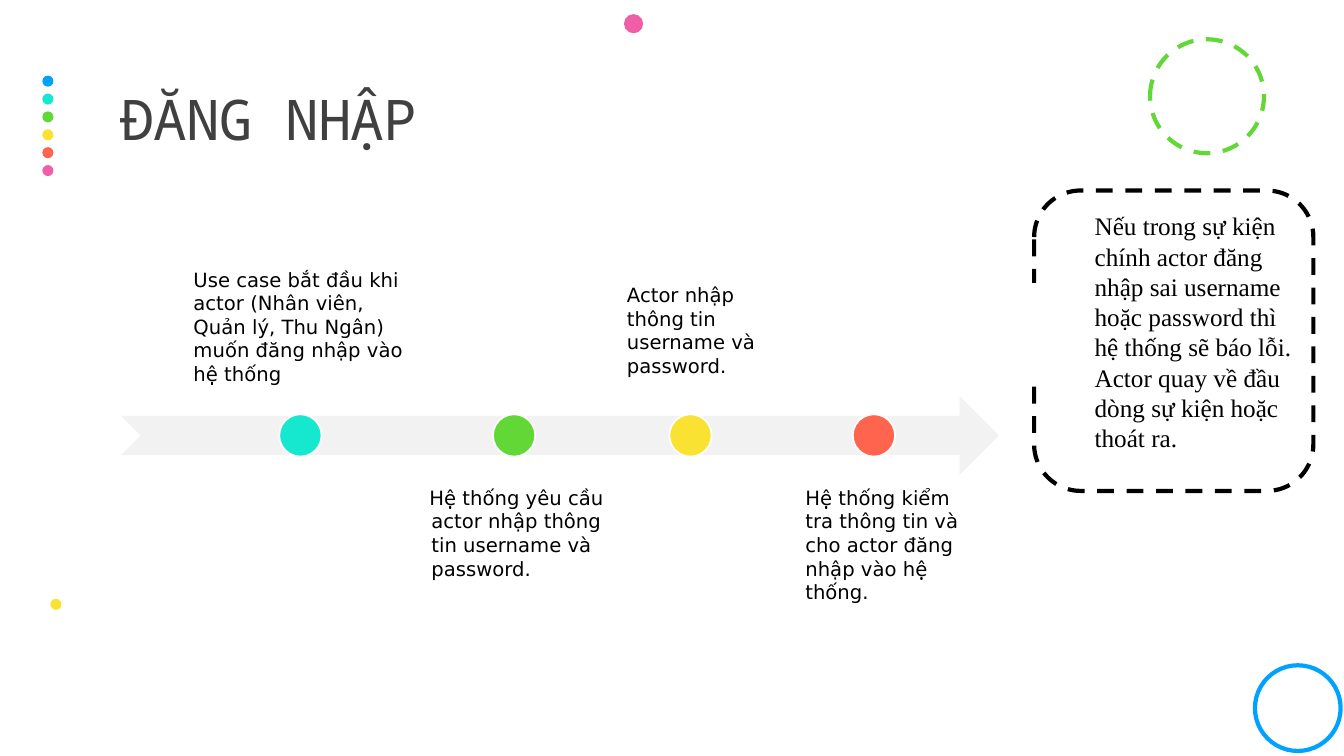
from dataclasses import dataclass
from pptx import Presentation
from pptx.dml.color import RGBColor
from pptx.enum.dml import MSO_LINE
from pptx.enum.shapes import MSO_SHAPE
from pptx.enum.text import MSO_ANCHOR, MSO_AUTO_SIZE, PP_ALIGN
from pptx.util import Inches, Pt

# Grid of square cells, 12 to the inch
COLUMNS, ROWS = 160, 90


def cells(count):
    return Inches(count / 12)


@dataclass(frozen=True)
class Theme:
    blue: str = "00A2FF"
    teal: str = "16E7CF"
    green: str = "61D836"
    yellow: str = "FAE232"
    coral: str = "FF644E"
    pink: str = "EF5FA7"
    black: str = "000000"
    white: str = "FFFFFF"
    band: str = "F2F2F2"
    title_color: str = "404040"
    title_font: str = "Noto Sans Mono"
    step_font: str = "DejaVu Sans"
    note_font: str = "Times New Roman"
    title_size: int = 40
    step_size: int = 14
    note_size: int = 18
    outline: float = 3
    marker_outline: float = 1.25


THEME = Theme()


@dataclass(frozen=True)
class Box:
    left: float
    top: float
    width: float
    height: float

    def inner(self, left, top, width, height):
        return Box(self.left + left, self.top + top, width, height)

    def place(self):
        return [cells(n) for n in (self.left, self.top, self.width, self.height)]


def add_figure(page, kind, box, fill=None, line=None, weight=THEME.outline, dashed=False):
    shape = page.shapes.add_shape(kind, *box.place())
    shape.shadow.inherit = False
    if fill:
        shape.fill.solid()
        shape.fill.fore_color.rgb = RGBColor.from_string(fill)
    else:
        shape.fill.background()
    if line:
        shape.line.color.rgb = RGBColor.from_string(line)
        shape.line.width = Pt(weight)
        if dashed:
            shape.line.dash_style = MSO_LINE.DASH
    else:
        shape.line.fill.background()
    return shape


def add_text(page, box, text, font, size, color, anchor=MSO_ANCHOR.TOP, insets=(1.2, 0.6)):
    text_box = page.shapes.add_textbox(*box.place())
    frame = text_box.text_frame
    frame.word_wrap = True
    frame.vertical_anchor = anchor
    frame.margin_left = frame.margin_right = cells(insets[0])
    frame.margin_top = frame.margin_bottom = cells(insets[1])
    para = frame.paragraphs[0]
    para.alignment = PP_ALIGN.LEFT
    span = para.add_run()
    span.text = text
    span.font.name = font
    span.font.size = Pt(size)
    span.font.color.rgb = RGBColor.from_string(color)
    return frame


def add_decoration(page, box):
    # Column of coloured dots
    rail = (THEME.blue, THEME.teal, THEME.green, THEME.yellow, THEME.coral, THEME.pink)
    for index, color in enumerate(rail):
        add_figure(page, MSO_SHAPE.OVAL, box.inner(5.04, 9 + 2.13 * index, 1.32, 1.32), color)
    # Scattered circles: left, top, diameter, fill, line, dashed
    circles = (
        (136.92, 4.68, 13.56, None, THEME.green, True),
        (6, 71.28, 1.32, THEME.yellow, None, False),
        (74.28, 1.68, 2.28, THEME.pink, None, False),
        (149.4, 79.2, 10.2, None, THEME.blue, False),
    )
    for left, top, size, fill, line, dashed in circles:
        add_figure(page, MSO_SHAPE.OVAL, box.inner(left, top, size, size),
                   fill, line, dashed=dashed)


def add_title(page, box, text):
    frame = add_text(page, box, text, THEME.title_font, THEME.title_size,
                     THEME.title_color, MSO_ANCHOR.MIDDLE, (0, 0.6))
    para = frame.paragraphs[0]
    para.line_spacing = 0.9
    para.runs[0].font._element.set("spc", "-50")


def add_note(page, box, text):
    add_figure(page, MSO_SHAPE.ROUNDED_RECTANGLE, box, line=THEME.black, dashed=True)
    # White patch that opens the left side of the frame
    add_figure(page, MSO_SHAPE.RECTANGLE, box.inner(-8.16, 11.04, 12.84, 11.88), THEME.white)
    frame = add_text(page, box.inner(6, 1.8, 27.36, 30.24), text,
                     THEME.note_font, THEME.note_size, THEME.black)
    frame.auto_size = MSO_AUTO_SIZE.SHAPE_TO_FIT_TEXT


def add_timeline(page, box, steps):
    add_figure(page, MSO_SHAPE.NOTCHED_RIGHT_ARROW, box, THEME.band)
    marker, label_height = 5.04, 20.64
    for index, (color, marker_left, left, width, gap, indent, hanging, text) in enumerate(steps):
        add_figure(page, MSO_SHAPE.OVAL,
                   box.inner(marker_left, (box.height - marker) / 2, marker, marker),
                   color, THEME.white, THEME.marker_outline)
        # Labels alternate above and below the arrow
        above = index % 2 == 0
        top = -label_height - gap if above else box.height + gap
        frame = add_text(page, box.inner(left, top, width, label_height), text,
                         THEME.step_font, THEME.step_size, THEME.black,
                         MSO_ANCHOR.BOTTOM if above else MSO_ANCHOR.TOP, (1.32, 1.32))
        properties = frame.paragraphs[0]._p.get_or_add_pPr()
        properties.set("marL", str(Inches(indent)))
        properties.set("indent", str(Inches(hanging)))


def main():
    deck = Presentation()
    deck.slide_width, deck.slide_height = cells(COLUMNS), cells(ROWS)
    page = deck.slides.add_slide(deck.slide_layouts[6])

    add_decoration(page, Box(0, 0, COLUMNS, ROWS))
    add_note(page, Box(123.12, 22.68, 33.24, 35.76),
             "Nếu trong sự kiện chính actor đăng nhập sai username hoặc password "
             "thì hệ thống sẽ báo lỗi. Actor quay về đầu dòng sự kiện hoặc thoát ra.")
    add_title(page, Box(14.4, 5.52, 132, 18), "ĐĂNG NHẬP")

    # Colour, marker left, label left, width, gap, indent, first-line indent, text
    steps = (
        (THEME.teal, 18.84, 7.32, 28.08, 0, 0, 0,
         "Use case bắt đầu khi actor (Nhân viên, Quản lý, Thu Ngân) "
         "muốn đăng nhập vào hệ thống"),
        (THEME.green, 44.28, 35.4, 23.4, 0, 0.02, -0.02,
         "Hệ thống yêu cầu actor nhập thông tin username và password."),
        (THEME.yellow, 65.28, 58.68, 22.08, 0.96, 0.02, 0,
         "Actor nhập thông tin username và password."),
        (THEME.coral, 87.12, 80.16, 21.84, 0, 0, 0,
         "Hệ thống kiểm tra thông tin và cho actor đăng nhập vào hệ thống."),
    )
    add_timeline(page, Box(14.4, 47.16, 104.52, 9.36), steps)
    deck.save("out.pptx")


if __name__ == "__main__":
    main()
